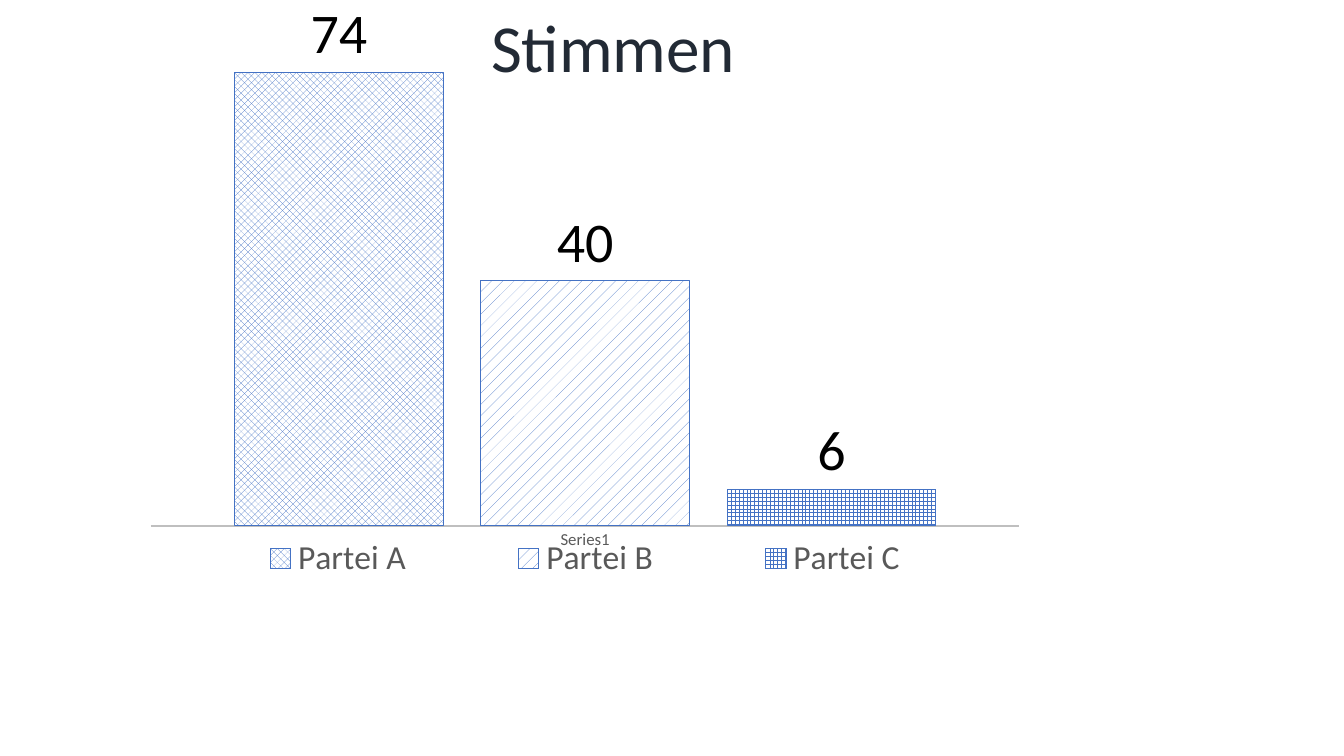
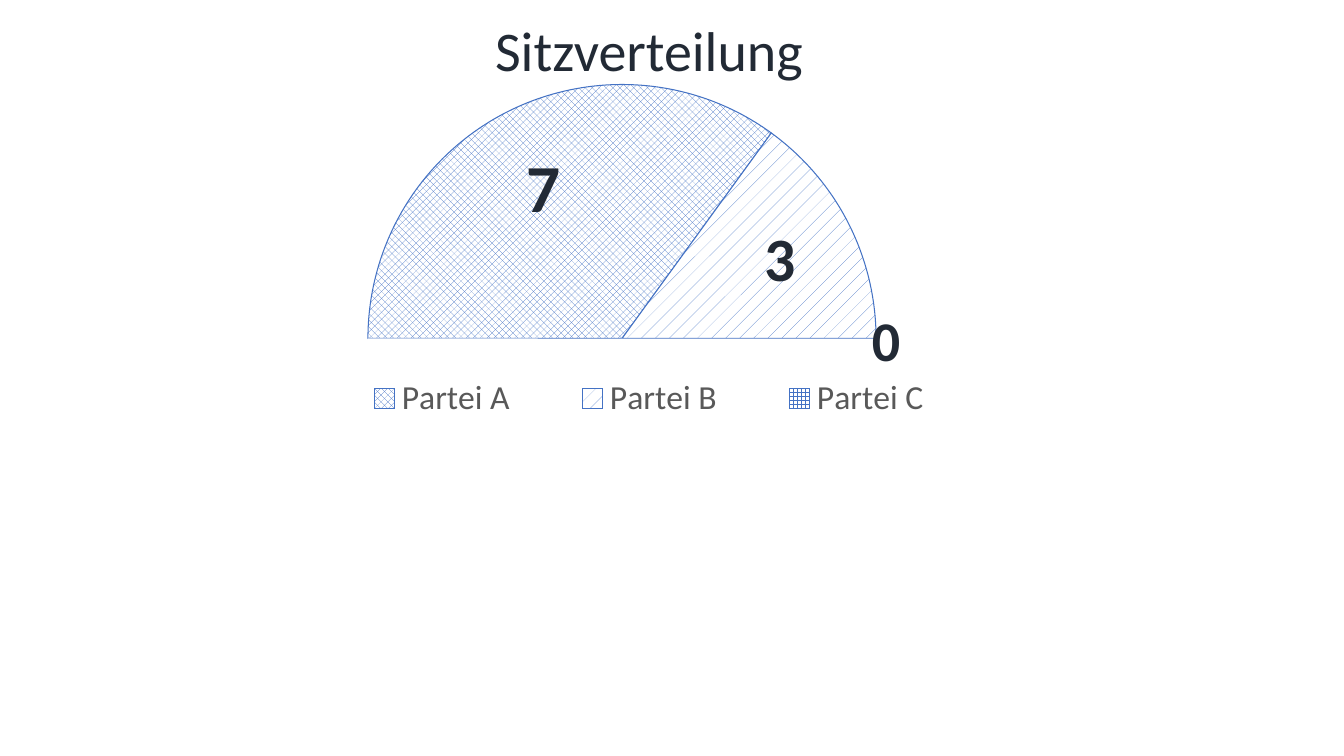
from lxml import etree
from pptx import Presentation
from pptx.chart.data import CategoryChartData
from pptx.dml.color import RGBColor
from pptx.enum import chart as charts, dml, text
from pptx.oxml.ns import qn
from pptx.util import Inches, Pt

NAVY = RGBColor(0x22, 0x2A, 0x35)
BLUE = RGBColor(0x44, 0x72, 0xC4)
GREY = RGBColor(0x59, 0x59, 0x59)
SILVER = RGBColor(0xBF, 0xBF, 0xBF)
BLACK = RGBColor(0, 0, 0)
WHITE = RGBColor(255, 255, 255)
FACE = "Calibri"
PARTIES = ["Partei A", "Partei B", "Partei C"]
DOTS = dml.MSO_PATTERN


class Deck:
    """Hold the style and the current slide of the election deck."""

    def __init__(self):
        self.deck = Presentation()
        self.deck.slide_width = Inches(13.33)
        self.deck.slide_height = Inches(7.5)

    def page(self):
        self.slide = self.deck.slides.add_slide(self.deck.slide_layouts[5])

    def font(self, font, size, color, bold=False):
        font.name, font.size, font.bold = FACE, Pt(size), bold
        font.color.rgb = color

    def letter(self, shape, words, box, size, bold=False):
        shape.left, shape.top, shape.width, shape.height = map(Inches, box)
        frame = shape.text_frame
        frame.text = words
        frame.word_wrap = False
        frame.auto_size = text.MSO_AUTO_SIZE.SHAPE_TO_FIT_TEXT
        frame.vertical_anchor = text.MSO_ANCHOR.TOP
        line = frame.paragraphs[0]
        line.alignment = text.PP_ALIGN.LEFT
        self.font(line.runs[0].font, size, NAVY, bold)

    def title(self, words, box, size):
        shape = self.slide.shapes.title
        self.letter(shape, words, box, size)
        self.slide.shapes.element.append(shape.element)

    def label(self, words, box, size):
        shape = self.slide.shapes.add_textbox(*map(Inches, box))
        self.letter(shape, words, box, size, True)

    def hatch(self, form, dots):
        form.fill.patterned()
        form.fill.pattern = dots
        form.fill.fore_color.rgb = BLUE
        form.fill.back_color.rgb = WHITE
        form.line.color.rgb = BLUE
        form.line.width = Pt(0.75)

    def place(self, part, index, box, inner=False):
        for old in part.findall(qn("c:layout")):
            part.remove(old)
        layout = etree.Element(qn("c:layout"))
        manual = etree.SubElement(layout, qn("c:manualLayout"))
        rules = [("layoutTarget", "inner")] if inner else []
        rules += [("xMode", "edge"), ("yMode", "edge"), *zip("xywh", box)]
        for tag, val in rules:
            etree.SubElement(manual, qn("c:" + tag)).set("val", str(val))
        part.insert(index, layout)

    def chart(self, kind, cats, rows, box, plot, key):
        data = CategoryChartData()
        data.categories = cats
        for name, vals in rows:
            data.add_series(name, vals)
        chart = self.slide.shapes.add_chart(kind, *map(Inches, box), data).chart
        self.font(chart.font, 10, BLACK)
        chart.has_title = False
        chart.has_legend = True
        chart.legend.position = charts.XL_LEGEND_POSITION.BOTTOM
        chart.legend.include_in_layout = False
        self.font(chart.legend.font, 24, GREY)
        self.place(chart.element.find(".//" + qn("c:plotArea")), 0, plot, True)
        self.place(chart.element.find(".//" + qn("c:legend")), 1, key)
        return chart

    def bars(self, votes, box, plot, key, dots):
        rows = [(name, [vote]) for name, vote in zip(PARTIES, votes)]
        kind = charts.XL_CHART_TYPE.COLUMN_CLUSTERED
        chart = self.chart(kind, ["Series1"], rows, box, plot, key)
        group = chart.plots[0]
        group.gap_width, group.overlap = 80, -18
        group.vary_by_categories = False
        for row, dot in zip(group.series, dots):
            self.hatch(row.format, dot)
            tags = row.data_labels
            tags.show_value = True
            tags.position = charts.XL_LABEL_POSITION.OUTSIDE_END
            self.font(tags.font, 40, BLACK)
        base, scale = chart.category_axis, chart.value_axis
        base.major_tick_mark = charts.XL_TICK_MARK.NONE
        base.format.line.color.rgb = SILVER
        base.format.line.width = Pt(1.25)
        self.font(base.tick_labels.font, 12, GREY)
        scale.minimum_scale, scale.maximum_scale = 0, 80
        scale.has_major_gridlines = False
        scale.visible = False

    def half(self, seats, box, plot, key, dots):
        rows = [("Series 1", [*seats, sum(seats)])]
        kind = charts.XL_CHART_TYPE.PIE
        chart = self.chart(kind, [*PARTIES, ""], rows, box, plot, key)
        group = chart.plots[0]
        group.vary_by_categories = True
        points = group.series[0].points
        for index, dot in enumerate(dots):
            self.hatch(points[index].format, dot)
        rest = points[len(seats)].format
        rest.fill.solid()
        rest.fill.fore_color.rgb = WHITE
        rest.line.fill.background()
        pie = chart.element.find(".//" + qn("c:pieChart"))
        etree.SubElement(pie, qn("c:firstSliceAng")).set("val", "270")
        entry = etree.Element(qn("c:legendEntry"))
        etree.SubElement(entry, qn("c:idx")).set("val", str(len(seats)))
        etree.SubElement(entry, qn("c:delete")).set("val", "1")
        chart.element.find(".//" + qn("c:legend")).insert(1, entry)


def main():
    show = Deck()
    show.page()
    show.bars([74, 40, 6], (1.23, 0, 8.89, 5.93),
              (0.03, 0.06, 0.97, 0.82), (0.05, 0.89, 0.93, 0.09),
              [DOTS.PERCENT_50, DOTS.PERCENT_10, DOTS.LARGE_GRID])
    show.title("Stimmen", (4.77, 0, 2.66, 0.91), 48)

    show.page()
    show.half([35, 15, 0], (1.68, 0.72, 8.89, 5.93),
              (0.22, 0.02, 0.57, 0.85), (0.16, 0.5, 0.75, 0.09),
              [DOTS.PERCENT_50, DOTS.PERCENT_5, DOTS.LARGE_GRID])
    show.label("3", (7.48, 2.13, 0.51, 0.84), 44)
    show.label("7", (5.12, 1.39, 0.48, 0.92), 48)
    show.label("0", (8.55, 2.98, 0.49, 0.77), 40)
    show.title("Sitzverteilung", (4.81, 0.1, 3.28, 0.77), 40)
    show.deck.save("out.pptx")


if __name__ == "__main__":
    main()
